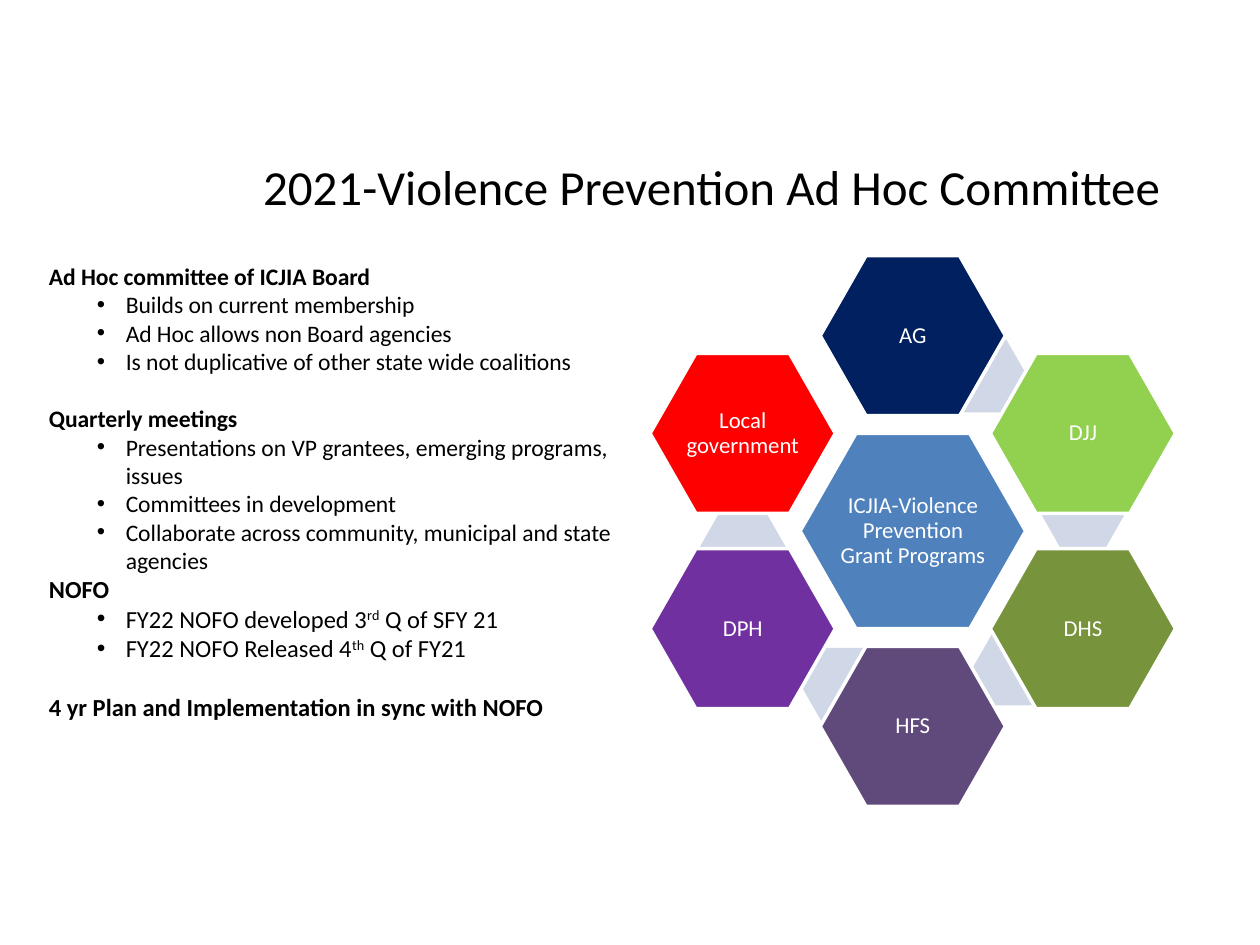
from lxml import etree
from pptx import Presentation
from pptx.dml.color import RGBColor
from pptx.enum.shapes import MSO_SHAPE
from pptx.enum.text import MSO_ANCHOR, PP_ALIGN
from pptx.oxml.ns import qn
from pptx.util import Inches, Pt

HEXAGON = MSO_SHAPE.HEXAGON
MIDDLE = MSO_ANCHOR.MIDDLE
CENTER = PP_ALIGN.CENTER

FONT = "Calibri"
COLORS = {
    "black": "000000", "white": "FFFFFF", "link": "D0D8E8", "core": "4F81BD",
    "navy": "002060", "lime": "92D050", "olive": "77933C",
    "plum": "604A7B", "purple": "7030A0", "red": "FF0000",
}

# Boxes: left, top, width, height in inches
TITLE_BOX = (1.99, 1.19, 8.17, 0.57)
NOTES_BOX = (0.29, 2.03, 4.74, 4.69)
DIAGRAM_BOX = (5.16, 2.03, 4.17, 4.37)

TITLE = "2021-Violence Prevention Ad Hoc Committee"

# Heading, heading size, bullet size, space before, bullets.
# A bullet is a list of runs; every second run is superscript.
SECTIONS = [
    ("Ad Hoc committee of ICJIA Board", 13.5, 13.5, 0, [
        ["Builds on current membership"],
        ["Ad Hoc allows non Board agencies"],
        ["Is not duplicative of other state wide coalitions"]]),
    ("Quarterly meetings", 13.5, 13.5, 16.5, [
        ["Presentations on VP grantees, emerging programs, issues"],
        ["Committees in development"],
        ["Collaborate across community, municipal and state agencies"]]),
    ("NOFO", 14, 14, 0, [
        ["FY22 NOFO developed 3", "rd", " Q of SFY 21"],
        ["FY22 NOFO Released 4", "th", " Q of FY21"]]),
    ("4 yr Plan and Implementation in sync with NOFO", 14, 14, 17, []),
]

# Hexagon diagram: column and row steps from the core, clockwise
COL, ROW = 1.35, 0.775
CORE_SIZE, AGENCY_SIZE, LINK_SIZE = (1.79, 1.55), (1.47, 1.27), (0.68, 0.58)
CORE_LABEL = "ICJIA-Violence Prevention Grant Programs"
# Label, colour, agency position, position of the link piece behind it
AGENCIES = [
    ("AG", "navy", (0, -2), (0.42, -1.59)),
    ("DJJ", "lime", (1, -1), (1, -0.19)),
    ("DHS", "olive", (1, 1), (0.6, 1.41)),
    ("HFS", "plum", (0, 2), (-0.41, 1.57)),
    ("DPH", "purple", (-1, 1), (-1, 0.16)),
    ("Local government", "red", (-1, -1), None),
]


def rgb(name):
    return RGBColor.from_string(COLORS[name])


def add_run(p, text, size, color="black", bold=False, raised=False):
    r = p.add_run()
    r.text = text
    formats = {"name": FONT, "size": Pt(size), "bold": bold}
    for key, value in formats.items():
        setattr(r.font, key, value)
    r.font.color.rgb = rgb(color)
    if raised:
        r.font._element.set("baseline", "30000")


def add_text_frame(slide, box):
    tf = slide.shapes.add_textbox(*map(Inches, box)).text_frame
    tf.word_wrap = True
    return tf


def set_bullet(p):
    p.level = 1
    pPr = p._p.get_or_add_pPr()
    pPr.set("marL", str(Inches(0.61)))
    pPr.set("indent", str(Inches(-0.23)))
    etree.SubElement(pPr, qn("a:buFont")).set("typeface", "Arial")
    etree.SubElement(pPr, qn("a:buChar")).set("char", "•")


def add_title(slide, box):
    tf = add_text_frame(slide, box)
    add_run(tf.paragraphs[0], TITLE, 28)


def add_notes(slide, box):
    tf = add_text_frame(slide, box)
    for i, (heading, head_size, size, before, bullets) in enumerate(SECTIONS):
        p = tf.add_paragraph() if i else tf.paragraphs[0]
        p.space_before = Pt(before)
        add_run(p, heading, head_size, bold=True)
        for runs in bullets:
            p = tf.add_paragraph()
            set_bullet(p)
            for j, text in enumerate(runs):
                add_run(p, text, size, raised=j % 2 == 1)


def add_hexagon(shapes, center, size, color, label=None):
    (cx, cy), (w, h) = center, size
    sp = shapes.add_shape(HEXAGON, *map(Inches, (cx - w / 2, cy - h / 2, w, h)))
    sp.adjustments[0], sp.adjustments[1] = 0.286, 1.155
    sp.shadow.inherit = False
    sp.fill.solid()
    sp.fill.fore_color.rgb = rgb(color)
    if label is None:
        sp.line.fill.background()
        return
    sp.line.color.rgb = rgb("white")
    sp.line.width = Pt(2)
    tf = sp.text_frame
    formats = {"word_wrap": True, "vertical_anchor": MIDDLE}
    for side in ("left", "right", "top", "bottom"):
        formats["margin_" + side] = Inches(0.02)
    for key, value in formats.items():
        setattr(tf, key, value)
    p = tf.paragraphs[0]
    p.alignment = CENTER
    p.line_spacing = 0.9
    add_run(p, label, 13, "white")


def add_diagram(slide, box):
    left, top, width, height = box
    shapes = slide.shapes.add_group_shape().shapes

    def place(step):
        return (left + width / 2 + step[0] * COL,
                top + height / 2 + step[1] * ROW)

    add_hexagon(shapes, place((0, 0)), CORE_SIZE, "core", CORE_LABEL)
    for label, color, step, link in AGENCIES:
        if link:
            add_hexagon(shapes, place(link), LINK_SIZE, "link")
        add_hexagon(shapes, place(step), AGENCY_SIZE, color, label)


def main():
    prs = Presentation()
    prs.slide_width, prs.slide_height = Inches(10), Inches(7.5)
    slide = prs.slides.add_slide(prs.slide_layouts[6])
    add_diagram(slide, DIAGRAM_BOX)
    add_notes(slide, NOTES_BOX)
    add_title(slide, TITLE_BOX)
    prs.save("out.pptx")


if __name__ == "__main__":
    main()
